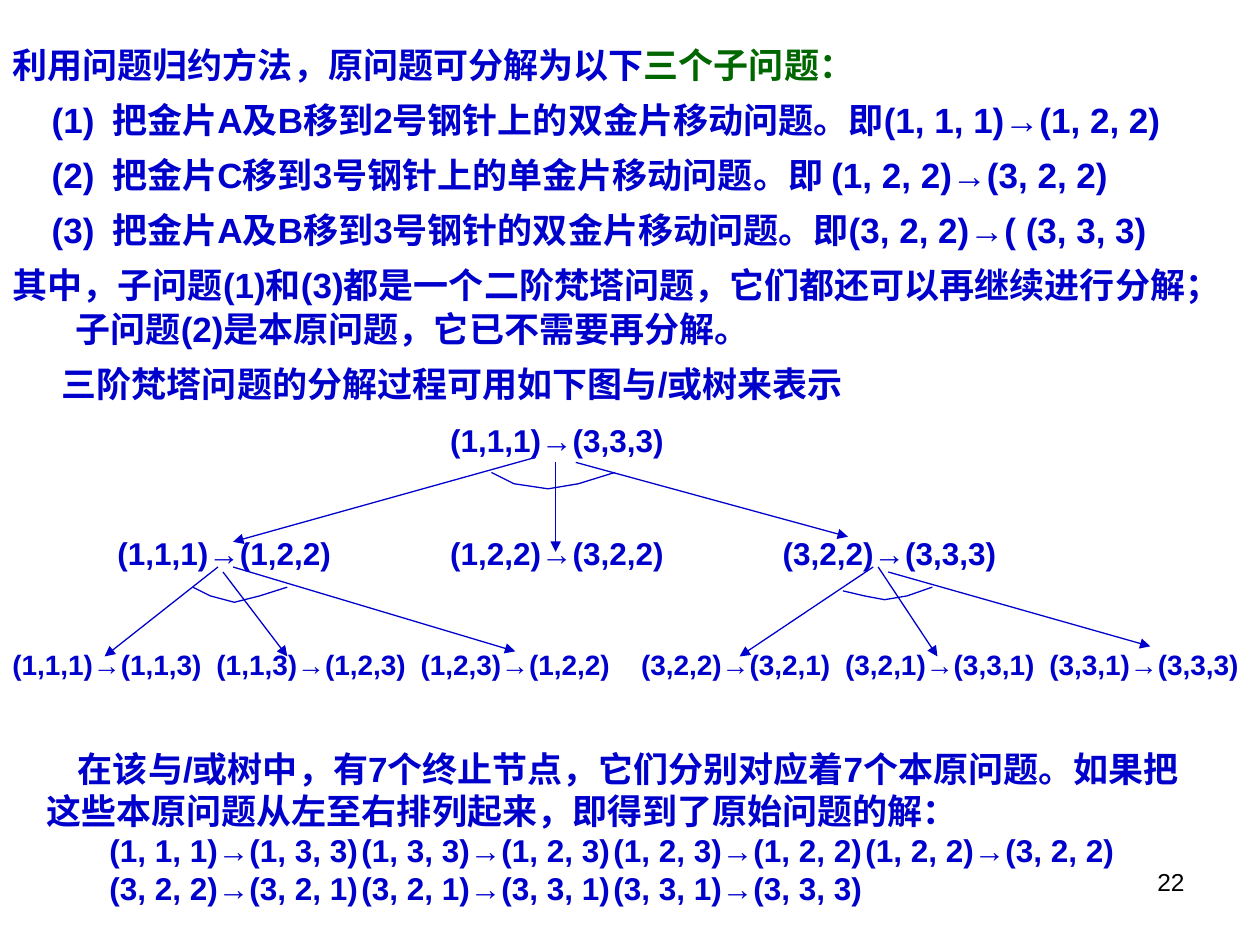
from lxml.etree import SubElement
from pptx import Presentation
from pptx.dml.color import RGBColor
from pptx.enum.shapes import MSO_CONNECTOR
from pptx.enum.text import MSO_ANCHOR, MSO_AUTO_SIZE, PP_ALIGN
from pptx.oxml.ns import qn
from pptx.util import Emu, Inches, Pt

BLUE = RGBColor(0x00, 0x00, 0xCC)
GREEN = RGBColor(0x00, 0x66, 0x00)
BLACK = RGBColor(0, 0, 0)

# Paragraphs of the explanation: (left margin, first-line indent, [(text, colour)])
ITEM, HANGING, INSET = (0.79, -0.48), (0.5, -0.5), (0.39, 0)
EXPLANATION = [
    (*HANGING, [("利用问题归约方法，原问题可分解为以下", BLUE), ("三个子问题：", GREEN)]),
    (*ITEM, [("(1)\t把金片A及B移到2号钢针上的双金片移动问题。即(1, 1, 1)→(1, 2, 2)", BLUE)]),
    (*ITEM, [("(2)\t把金片C移到3号钢针上的单金片移动问题。即 (1, 2, 2)→(3, 2, 2)", BLUE)]),
    (*ITEM, [("(3)\t把金片A及B移到3号钢针的双金片移动问题。即(3, 2, 2)→( (3, 3, 3)", BLUE)]),
    (*HANGING, [("其中，子问题(1)和(3)都是一个二阶梵塔问题，它们都还可以再继续进行分解；"
                 "子问题(2)是本原问题，它已不需要再分解。", BLUE)]),
    (*INSET, [("三阶梵塔问题的分解过程可用如下图与/或树来表示", BLUE)]),
]

# Rows of sibling nodes: (first centre x, step, centre y, point size, labels)
TREE = [
    (4.42, 0, 3.49, 18, ["(1,1,1)→(3,3,3)"]),
    (1.78, 2.64, 4.39, 18, ["(1,1,1)→(1,2,2)", "(1,2,2)→(3,2,2)", "(3,2,2)→(3,3,3)"]),
    (0.85, 1.62, 5.27, 16, ["(1,1,1)→(1,1,3)", "(1,1,3)→(1,2,3)", "(1,2,3)→(1,2,2)"]),
    (5.84, 1.62, 5.27, 16, ["(3,2,2)→(3,2,1)", "(3,2,1)→(3,3,1)", "(3,3,1)→(3,3,3)"]),
]
NODE_W, NODE_H = 1.8, 0.32

BRANCHES = [
    ((4.25, 3.63), (1.85, 4.3)), ((4.41, 3.67), (4.41, 4.38)), ((4.57, 3.67), (6.73, 4.26)),
    ((1.73, 4.5), (0.83, 5.21)), ((1.77, 4.54), (2.28, 5.21)), ((1.85, 4.5), (4.09, 5.17)),
    ((6.93, 4.5), (5.87, 5.21)), ((6.97, 4.5), (7.44, 5.21)), ((7.05, 4.54), (9.13, 5.13)),
]
AND_ARCS = [
    [(3.9, 3.75), (4.08, 3.84), (4.35, 3.88), (4.59, 3.84), (4.88, 3.75)],
    [(1.53, 4.66), (1.67, 4.73), (1.86, 4.78), (2.06, 4.73), (2.28, 4.66)],
    [(6.69, 4.69), (6.86, 4.73), (7.02, 4.76), (7.2, 4.73), (7.4, 4.66)],
]

CONCLUSION = ("在该与/或树中，有7个终止节点，它们分别对应着7个本原问题。"
              "如果把这些本原问题从左至右排列起来，即得到了原始问题的解：")
SOLUTION = [
    ["(1, 1, 1)→(1, 3, 3)", "(1, 3, 3)→(1, 2, 3)", "(1, 2, 3)→(1, 2, 2)", "(1, 2, 2)→(3, 2, 2)"],
    ["(3, 2, 2)→(3, 2, 1)", "(3, 2, 1)→(3, 3, 1)", "(3, 3, 1)→(3, 3, 3)"],
]
SOLUTION_TABS = [0.28 + 2.23 * i for i in range(4)]


def set_font(p, size, color=BLUE, bold=True):
    p.font.name = "Arial"
    p.font.size = Pt(size)
    p.font.bold = bold
    p.font.color.rgb = color


def set_indent(p, left, first):
    pPr = p._p.get_or_add_pPr()
    pPr.set("marL", str(Inches(left)))
    pPr.set("indent", str(Inches(first)))
    return pPr


def add_text(slide, x, y, w, h, margin=0):
    tf = slide.shapes.add_textbox(*map(Inches, (x, y, w, h))).text_frame
    tf.word_wrap = True
    tf.margin_left = tf.margin_right = Inches(margin)
    tf.margin_top = tf.margin_bottom = Inches(margin / 2)
    return tf


def paragraphs(tf, items):
    """Yield each item with its paragraph, starting from the frame's first one."""
    for i, item in enumerate(items):
        yield (tf.add_paragraph() if i else tf.paragraphs[0]), item


def add_explanation(slide):
    body = slide.placeholders[1]
    body.left, body.top, body.width, body.height = map(Inches, (0, 0.28, 10, 3.05))
    tf = body.text_frame
    tf.auto_size = MSO_AUTO_SIZE.NONE
    tf.vertical_anchor = MSO_ANCHOR.TOP
    for p, (left, first, runs) in paragraphs(tf, EXPLANATION):
        SubElement(set_indent(p, left, first), qn("a:buNone"))
        p.line_spacing = 1.05
        p.space_before, p.space_after = Pt(0), Pt(6.2)
        set_font(p, 20)
        for text, color in runs:
            r = p.add_run()
            r.text = text
            r.font.color.rgb = color


def add_tree(slide):
    for x0, step, y, size, labels in TREE:
        for i, label in enumerate(labels):
            left = x0 + i * step - NODE_W / 2
            tf = add_text(slide, left, y - NODE_H / 2, NODE_W, NODE_H)
            tf.word_wrap = False
            tf.vertical_anchor = MSO_ANCHOR.MIDDLE
            p = tf.paragraphs[0]
            p.text = label
            p.alignment = PP_ALIGN.CENTER
            set_font(p, size)
    for start, end in BRANCHES:
        line = slide.shapes.add_connector(MSO_CONNECTOR.STRAIGHT, *map(Inches, start + end))
        line.line.color.rgb = BLUE
        line.line.width = Pt(0.75)
        SubElement(line.line._get_or_add_ln(), qn("a:tailEnd"), type="triangle")
        SubElement(line._element.spPr, qn("a:effectLst"))
    for points in AND_ARCS:
        start, *rest = [(Inches(x), Inches(y)) for x, y in points]
        builder = slide.shapes.build_freeform(*start, scale=1.0)
        builder.add_line_segments(rest, close=False)
        arc = builder.convert_to_shape(Emu(0), Emu(0))
        arc.shadow.inherit = False
        arc.fill.background()
        arc.line.color.rgb = BLUE
        arc.line.width = Pt(0.75)


def add_conclusion(slide):
    tf = add_text(slide, 0.27, 5.88, 9.41, 1.37, margin=0.1)
    p = tf.paragraphs[0]
    p.text = CONCLUSION
    set_indent(p, 0, 0.25)
    set_font(p, 20)
    for row in SOLUTION:
        p = tf.add_paragraph()
        p.text = "".join("\t" + move for move in row)
        tabs = SubElement(set_indent(p, 0, 0), qn("a:tabLst"))
        for pos in SOLUTION_TABS:
            SubElement(tabs, qn("a:tab"), pos=str(Inches(pos)), algn="l")
        set_font(p, 18)


def add_page_number(slide):
    p = add_text(slide, 7.17, 6.83, 2.33, 0.52, margin=0.1).paragraphs[0]
    p.text = "22"
    p.alignment = PP_ALIGN.RIGHT
    set_font(p, 14, BLACK, bold=False)


def main():
    prs = Presentation()
    prs.slide_width, prs.slide_height = Inches(10), Inches(7.5)
    slide = prs.slides.add_slide(prs.slide_layouts[1])
    title = slide.shapes.title._element
    title.getparent().remove(title)
    add_page_number(slide)
    add_explanation(slide)
    add_tree(slide)
    add_conclusion(slide)
    prs.save("out.pptx")


if __name__ == "__main__":
    main()
